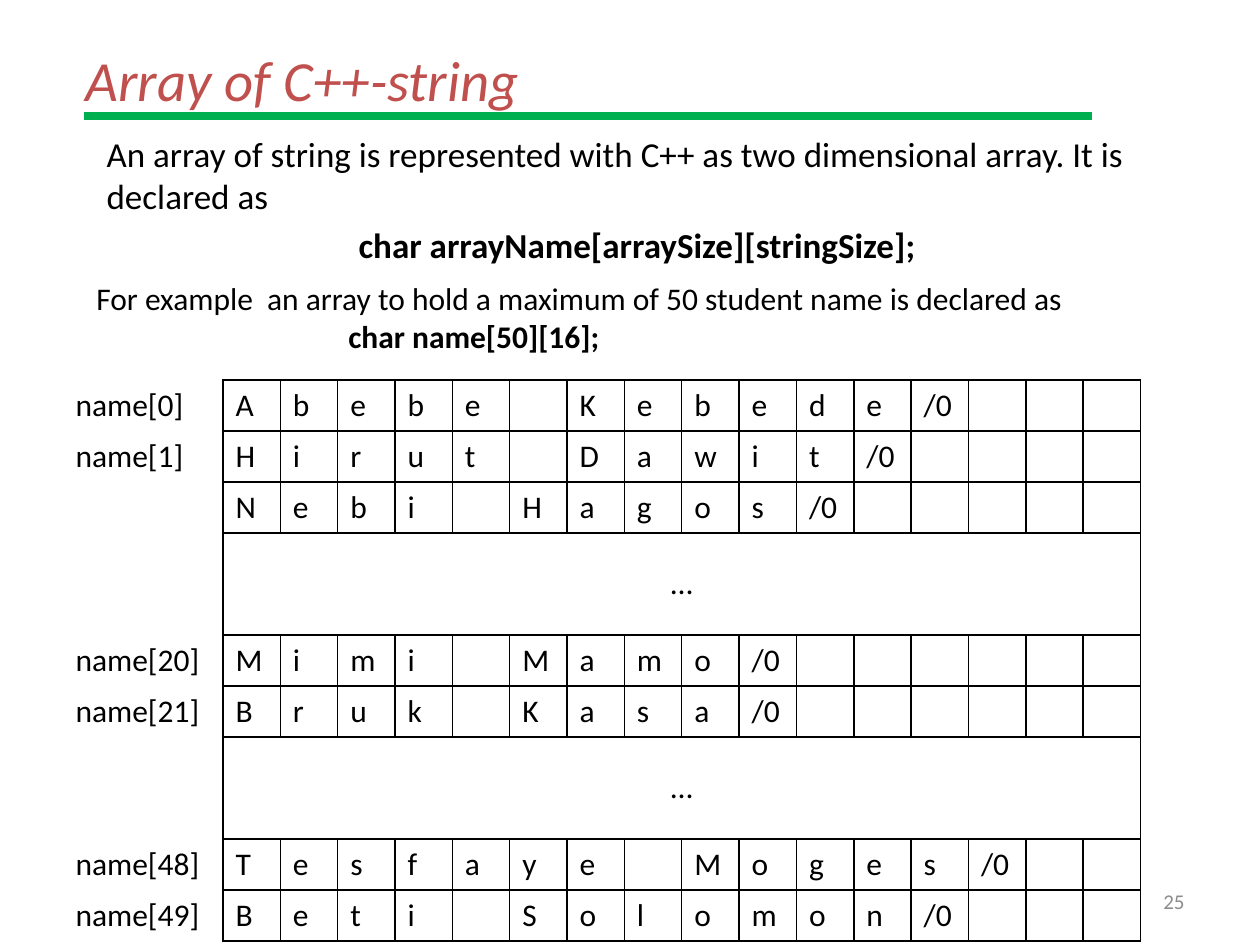
from dataclasses import dataclass

from lxml.etree import SubElement
from pptx import Presentation
from pptx.dml.color import RGBColor as Rgb
from pptx.enum.shapes import MSO_CONNECTOR as Connector
from pptx.enum.text import MSO_ANCHOR as Anchor, MSO_AUTO_SIZE as AutoSize, PP_ALIGN as Align
from pptx.oxml.ns import qn
from pptx.util import Emu, Pt


@dataclass(frozen=True)
class Theme:
    font: str = "Calibri"
    ink: str = "000000"
    accent: str = "C0504D"
    rule: str = "00B050"
    muted: str = "8C8C8C"
    title_size: float = 32.4
    body_size: float = 20
    text_size: float = 18
    small_size: float = 12
    rule_width: float = 4.25
    border_width: float = 1


NAMES = [
    ("name[0]", "Abebe Kebede"),
    ("name[1]", "Hirut Dawit"),
    ("", "Nebi Hagos"),
    ("", None),
    ("", None),
    ("name[20]", "Mimi Mamo"),
    ("name[21]", "Bruk Kasa"),
    ("", None),
    ("", None),
    ("name[48]", "Tesfaye Moges"),
    ("name[49]", "Beti Solomon"),
]
STRING_SIZE = 16
CODE_INDENT = 252


def px(length):
    return Emu(round(length * 914400 / 126))


class SlideBuilder:
    """Draws styled elements on the current slide."""

    def __init__(self, deck, theme):
        self.theme = theme
        self.page = deck.slides.add_slide(deck.slide_layouts[1])

    def place(self, shape, left, top, width, height):
        shape.left, shape.top, shape.width, shape.height = map(px, (left, top, width, height))

    def span(self, para, text, size, color=None, bold=False, italic=False):
        span = para.add_run()
        span.text = text
        font = span.font
        font.name, font.size, font.bold, font.italic = self.theme.font, Pt(size), bold, italic
        font.color.rgb = Rgb.from_string(color or self.theme.ink)

    def paragraphs(self, frame, lines, size, gap=0):
        for index, (text, is_code) in enumerate(lines):
            para = frame.add_paragraph() if index else frame.paragraphs[0]
            props = para._p.get_or_add_pPr()
            props.set("marL", str(px(CODE_INDENT) if is_code else 0))
            props.set("indent", "0")
            SubElement(props, qn("a:buNone"))
            para.space_before = Pt(gap if index else 0)
            self.span(para, text, size, bold=is_code)

    def title(self, text, *bounds):
        box = self.page.shapes.title
        self.place(box, *bounds)
        frame = box.text_frame
        frame.auto_size, frame.vertical_anchor = AutoSize.NONE, Anchor.MIDDLE
        para = frame.paragraphs[0]
        para.alignment = Align.LEFT
        self.span(para, text, self.theme.title_size, self.theme.accent, italic=True)

    def body(self, lines, *bounds):
        box = self.page.placeholders[1]
        self.place(box, *bounds)
        box.text_frame.auto_size = AutoSize.NONE
        self.paragraphs(box.text_frame, lines, self.theme.body_size, gap=4)

    def text_frame(self, *bounds):
        frame = self.page.shapes.add_textbox(*map(px, bounds)).text_frame
        frame.word_wrap = True
        return frame

    def text(self, lines, *bounds):
        self.paragraphs(self.text_frame(*bounds), lines, self.theme.text_size)

    def page_number(self, number, *bounds):
        frame = self.text_frame(*bounds)
        frame.vertical_anchor = Anchor.MIDDLE
        para = frame.paragraphs[0]
        para.alignment = Align.RIGHT
        self.span(para, number, self.theme.small_size, self.theme.muted)

    def rule(self, left, right, y):
        line = self.page.shapes.add_connector(Connector.STRAIGHT, px(left), px(y), px(right), px(y))
        line.line.color.rgb = Rgb.from_string(self.theme.rule)
        line.line.width = Pt(self.theme.rule_width)
        SubElement(line._element.spPr, qn("a:effectLst"))

    def cell_style(self, cell, edges):
        props = cell._tc.get_or_add_tcPr()
        for edge in "LRTB":
            border = SubElement(props, qn(f"a:ln{edge}"), w=str(Pt(self.theme.border_width)))
            if edge in edges:
                fill = SubElement(border, qn("a:solidFill"))
                SubElement(fill, qn("a:srgbClr"), val=self.theme.ink)
            else:
                SubElement(border, qn("a:noFill"))
        cell.fill.background()

    def cell_text(self, cell, text):
        para = cell.text_frame.paragraphs[0]
        if text:
            self.span(para, text, self.theme.text_size)
        else:
            para.font.size = Pt(self.theme.text_size)
        return para

    def string_table(self, rows, left, top, label_width, grid_width, row_height):
        bounds = left, top, label_width + grid_width, row_height * len(rows)
        table = self.page.shapes.add_table(len(rows), STRING_SIZE + 1, *map(px, bounds)).table
        table.first_row = table.horz_banding = False
        for index, column in enumerate(table.columns):
            column.width = px(grid_width / STRING_SIZE if index else label_width)
        for row in table.rows:
            row.height = px(row_height)
        for row, (label, name) in enumerate(rows):
            letters = [] if name is None else [*name, "/0"]
            texts = [label, *letters] + [""] * (STRING_SIZE - len(letters))
            for column, text in enumerate(texts):
                cell = table.cell(row, column)
                self.cell_style(cell, "LRTB" if column else "R")
                self.cell_text(cell, text.strip())
        gaps = [row for row, (_, name) in enumerate(rows) if name is None]
        for row in gaps[::2]:
            cell = table.cell(row, 1)
            cell.merge(table.cell(row + 1, STRING_SIZE))
            cell.vertical_anchor = Anchor.MIDDLE
            self.cell_text(cell, "…").alignment = Align.CENTER


def main():
    deck = Presentation()
    deck.slide_width, deck.slide_height = px(1260), px(945)
    slide = SlideBuilder(deck, Theme())
    slide.title("Array of C++-string", 73, 42, 1134, 73)
    slide.body([
        ("An array of string is represented with C++ as two dimensional array. It is declared as", False),
        ("char arrayName[arraySize][stringSize];", True),
    ], 94, 126, 1071, 724)
    slide.rule(84, 1092, 116)
    slide.page_number("25", 903, 876, 294, 50)
    slide.string_table(NAMES, left=63, top=380, label_width=160, grid_width=918, row_height=51)
    slide.text([
        ("For example  an array to hold a maximum of 50 student name is declared as", False),
        ("char name[50][16];", True),
    ], 84, 273, 998, 89)
    deck.save("out.pptx")


if __name__ == "__main__":
    main()
